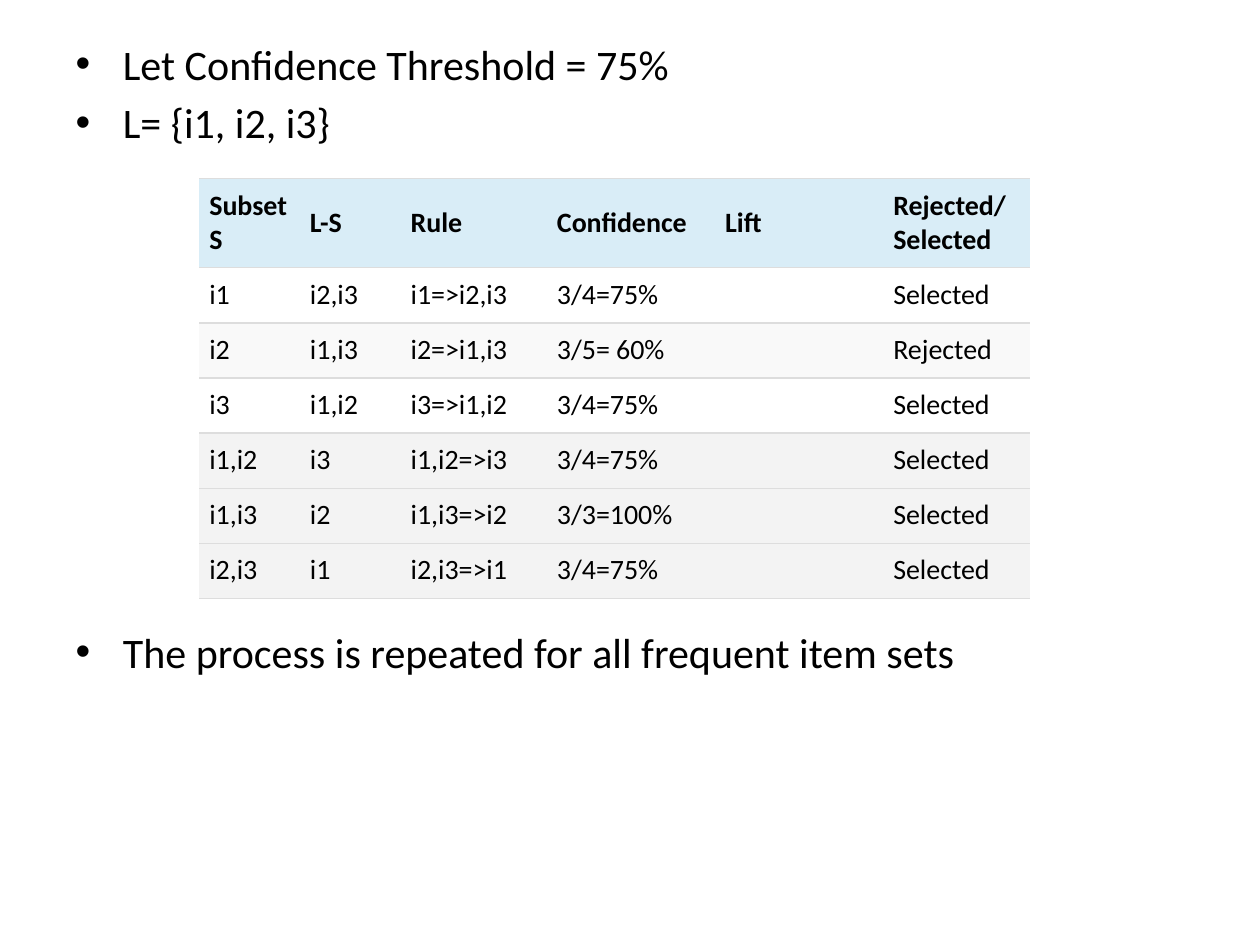
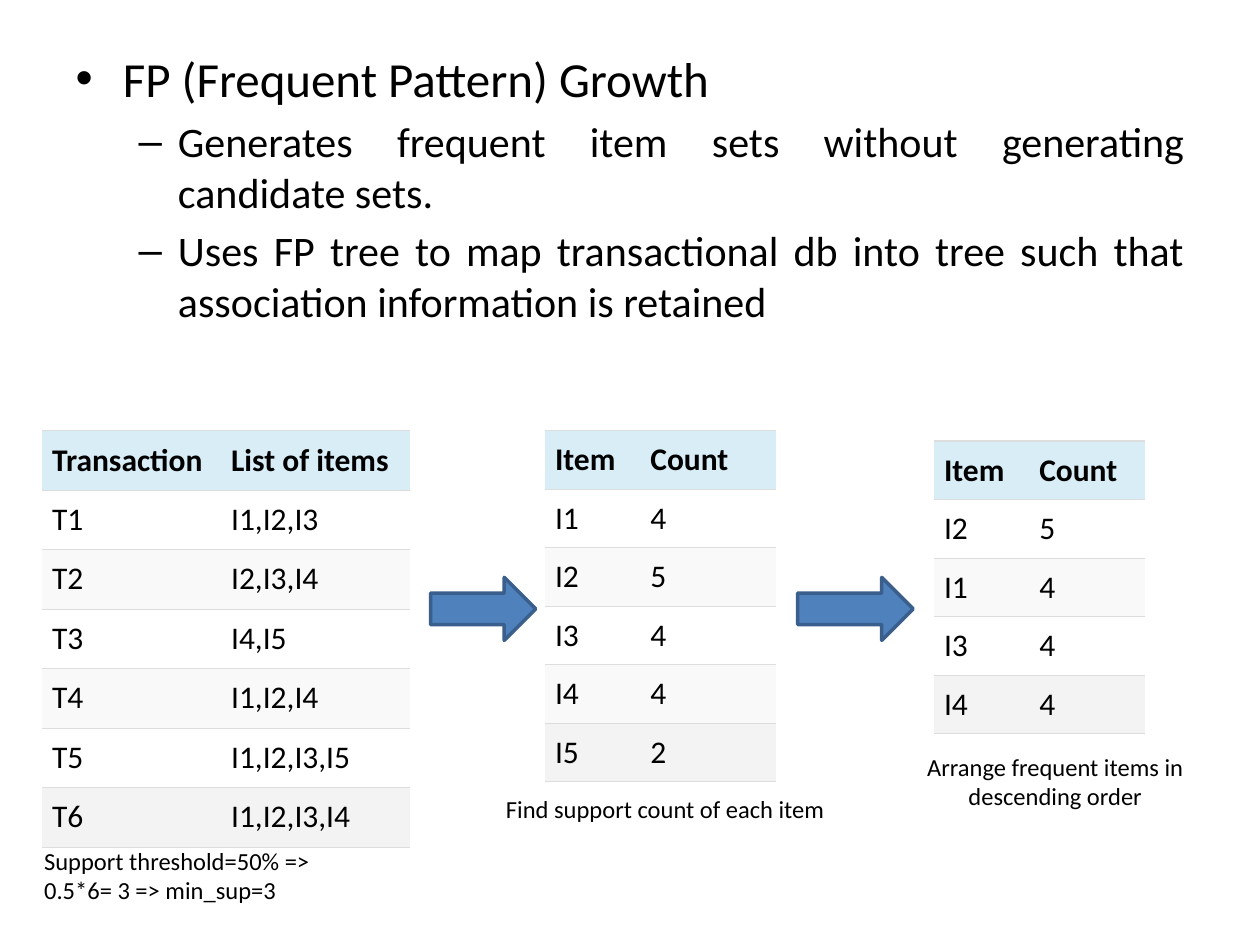
from dataclasses import dataclass

from lxml import etree
from pptx import Presentation
from pptx import util as u
from pptx.dml.color import RGBColor
from pptx.enum import shapes, text
from pptx.oxml.ns import qn


@dataclass(frozen=True)
class Theme:
    font: str = "Calibri"
    ink: str = "000000"
    header: str = "D9EDF7"
    stripes: tuple = ("FFFFFF", "F9F9F9")
    closing: str = "F3F3F3"
    rule: str = "DDDDDD"
    arrow: str = "4F81BD"
    arrow_edge: str = "3A5F8C"
    heading_size: int = 28
    body_size: int = 24
    caption_size: int = 14
    rule_width: float = 0.75
    cell_margin: float = 0.2


class SlideBuilder:
    """Holds the theme and the slide being built; lengths are in cm."""

    def __init__(self, deck, theme):
        self.deck = deck
        self.theme = theme
        self.page = None

    def new_slide(self):
        self.page = self.deck.slides.add_slide(self.deck.slide_layouts[1])
        title = self.page.shapes.title
        title.element.getparent().remove(title.element)

    def style(self, para, size, bold=False):
        font = para.font
        font.name = self.theme.font
        font.size = u.Pt(size)
        font.bold = bold
        font.color.rgb = RGBColor.from_string(self.theme.ink)

    def bullets(self, place, items, align=None):
        """Fill the body with (text, level, size, space before in points or None)."""
        body = self.page.placeholders[1]
        body.left, body.top, body.width, body.height = map(u.Cm, place)
        frame = body.text_frame
        frame.auto_size = text.MSO_AUTO_SIZE.NONE
        for index, (words, level, size, gap) in enumerate(items):
            para = frame.paragraphs[0] if index == 0 else frame.add_paragraph()
            para.text = words
            para.level = level
            para.alignment = align
            if gap is not None:
                para.space_before = u.Pt(gap)
            self.style(para, size)

    def borders(self, cell):
        """Rule above and below the cell, nothing at the sides."""
        properties = cell._tc.get_or_add_tcPr()
        for side in ("lnL", "lnR"):
            line = etree.SubElement(properties, qn(f"a:{side}"), w="0")
            etree.SubElement(line, qn("a:noFill"))
        for side in ("lnT", "lnB"):
            width = str(u.Pt(self.theme.rule_width))
            line = etree.SubElement(properties, qn(f"a:{side}"), w=width)
            fill = etree.SubElement(line, qn("a:solidFill"))
            etree.SubElement(fill, qn("a:srgbClr"), val=self.theme.rule)

    def row_fill(self, index, count, closing_rows):
        if index == 0:
            return self.theme.header
        if index >= count - closing_rows:
            return self.theme.closing
        return self.theme.stripes[(index - 1) % 2]

    def table(self, left, top, widths, rows, size, row_height,
              header_height=None, closing_rows=1):
        heights = [header_height or row_height] + [row_height] * (len(rows) - 1)
        grid = self.page.shapes.add_table(
            len(rows), len(widths), u.Cm(left), u.Cm(top),
            u.Cm(sum(widths)), u.Cm(sum(heights))).table
        grid.first_row = grid.horz_banding = False
        for column, width in zip(grid.columns, widths):
            column.width = u.Cm(width)
        for index, (values, height) in enumerate(zip(rows, heights)):
            grid.rows[index].height = u.Cm(height)
            color = self.row_fill(index, len(rows), closing_rows)
            for column, value in enumerate(values):
                self.cell(grid.cell(index, column), value, color, size, index == 0)

    def cell(self, cell, value, color, size, is_header):
        margin = u.Cm(self.theme.cell_margin)
        cell.margin_left = cell.margin_right = margin
        cell.margin_top = cell.margin_bottom = margin if value else 0
        if is_header:
            cell.vertical_anchor = text.MSO_ANCHOR.MIDDLE
        self.borders(cell)
        cell.fill.solid()
        cell.fill.fore_color.rgb = RGBColor.from_string(color)
        if value:
            cell.text = value
        self.style(cell.text_frame.paragraphs[0], size, is_header)

    def caption(self, left, top, height, words, align=None):
        box = self.page.shapes.add_textbox(
            u.Cm(left), u.Cm(top), u.Cm(6.95), u.Cm(height))
        box.text_frame.word_wrap = True
        para = box.text_frame.paragraphs[0]
        para.text = words
        para.alignment = align
        self.style(para, self.theme.caption_size)

    def arrow(self, left, width):
        arrow = self.page.shapes.add_shape(
            shapes.MSO_SHAPE.RIGHT_ARROW,
            u.Cm(left), u.Cm(11.64), u.Cm(width), u.Cm(1.27))
        arrow.shadow.inherit = False
        arrow.fill.solid()
        arrow.fill.fore_color.rgb = RGBColor.from_string(self.theme.arrow)
        arrow.line.color.rgb = RGBColor.from_string(self.theme.arrow_edge)
        arrow.line.width = u.Pt(2)


def rules_slide(builder):
    builder.new_slide()
    size = builder.theme.body_size
    # The last bullet is spaced down to clear the table
    builder.bullets((1.27, 0.64, 22.86, 16.38), [
        ("Let Confidence Threshold = 75%", 0, size, 0),
        ("L= {i1, i2, i3}", 0, size, None),
        ("The process is repeated for all frequent item sets", 0, size, 273.6),
    ])
    rows = [
        ("Subset S", "L-S", "Rule", "Confidence", "Lift", "Rejected/Selected"),
        ("i1", "i2,i3", "i1=>i2,i3", "3/4=75%", "", "Selected"),
        ("i2", "i1,i3", "i2=>i1,i3", "3/5= 60%", "", "Rejected"),
        ("i3", "i1,i2", "i3=>i1,i2", "3/4=75%", "", "Selected"),
        ("i1,i2", "i3", "i1,i2=>i3", "3/4=75%", "", "Selected"),
        ("i1,i3", "i2", "i1,i3=>i2", "3/3=100%", "", "Selected"),
        ("i2,i3", "i1", "i2,i3=>i1", "3/4=75%", "", "Selected"),
    ]
    builder.table(4.02, 3.6, (2.03, 2.03, 2.95, 3.39, 3.39, 2.95), rows,
                  size=16, row_height=1.11, header_height=1.8, closing_rows=3)


def growth_slide(builder):
    builder.new_slide()
    heading, size = builder.theme.heading_size, builder.theme.body_size
    builder.bullets((1.27, 0.85, 22.86, 17.57), [
        ("FP (Frequent Pattern) Growth", 0, heading, 0),
        ("Generates frequent item sets without generating candidate sets.",
         1, size, None),
        ("Uses FP tree to map transactional db into tree such that "
         "association information is retained", 1, size, None),
    ], text.PP_ALIGN.JUSTIFY)

    # Transactions, support counts and the sorted frequent items
    transactions = ("I1,I2,I3", "I2,I3,I4", "I4,I5", "I1,I2,I4",
                    "I1,I2,I3,I5", "I1,I2,I3,I4")
    listing = [("Transaction", "List of items")]
    listing += [(f"T{number}", items) for number, items in enumerate(transactions, 1)]
    counts = [("I1", "4"), ("I2", "5"), ("I3", "4"), ("I4", "4"), ("I5", "2")]
    ordered = [("I2", "5"), ("I1", "4"), ("I3", "4"), ("I4", "4")]
    header = ("Item", "Count")
    builder.table(0.85, 8.68, (3.61, 3.81), listing, size=18, row_height=1.2)
    builder.table(10.99, 8.68, (1.92, 2.74), [header] + counts,
                  size=18, row_height=1.18)
    builder.table(18.83, 8.89, (1.92, 2.33), [header] + ordered,
                  size=18, row_height=1.18)

    # Captions and arrows
    builder.caption(0.64, 16.93, 1.45,
                    "Support threshold=50% => 0.5*6= 3 => min_sup=3")
    builder.caption(9.95, 15.88, 0.86, "Find support count of each item")
    builder.caption(17.8, 15.03, 1.45, "Arrange frequent items in descending order",
                    text.PP_ALIGN.CENTER)
    builder.arrow(8.68, 2.12)
    builder.arrow(16.08, 2.33)


def main():
    deck = Presentation()
    deck.slide_width, deck.slide_height = u.Cm(25.4), u.Cm(19.05)
    builder = SlideBuilder(deck, Theme())
    rules_slide(builder)
    growth_slide(builder)
    deck.save("out.pptx")


if __name__ == "__main__":
    main()
